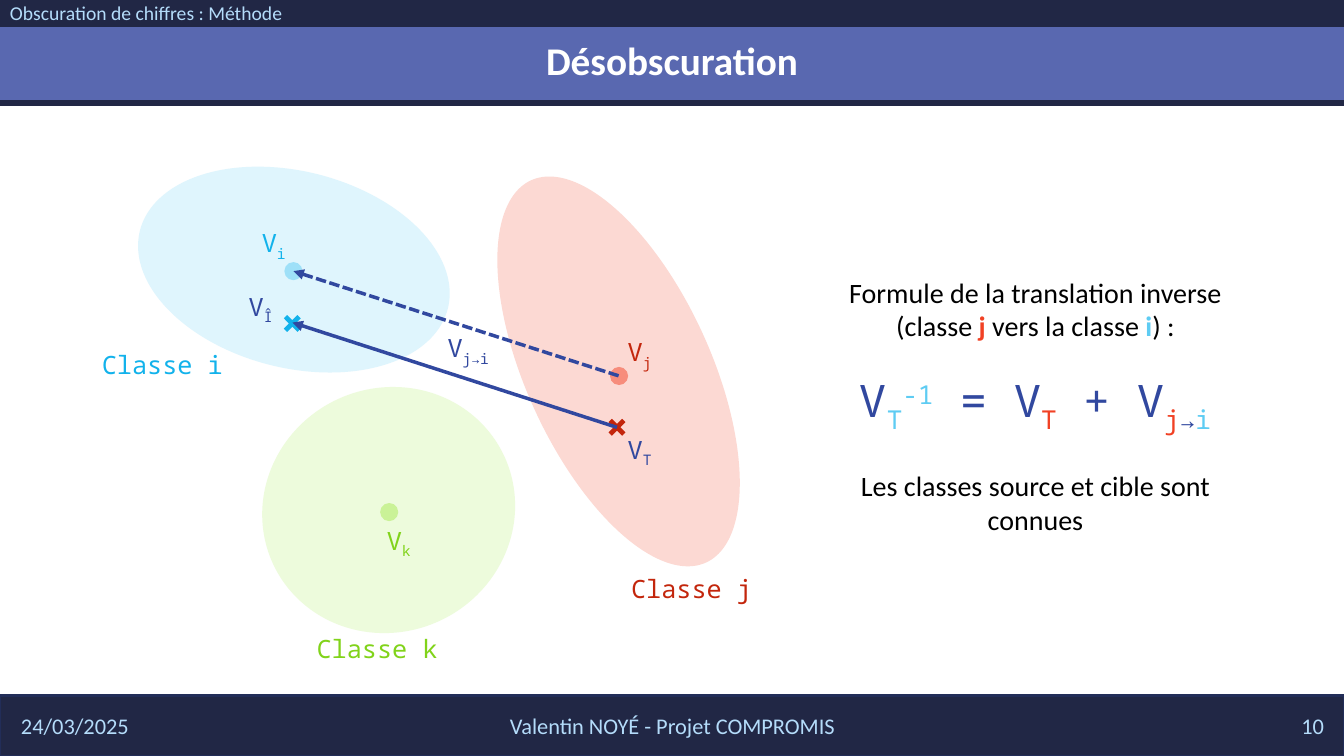
from lxml import etree
from pptx import Presentation
from pptx.dml.color import RGBColor
from pptx.enum import dml, shapes, text
from pptx.oxml.ns import qn
from pptx.util import Inches, Pt

COLORS = {
    "night": "212745", "band": "5968B0", "edge": "222D58", "sky": "B4DCFA",
    "white": "FFFFFF", "black": "000000", "vector": "31489F",
    "i": "12B2EB", "j": "C3260C", "k": "81D31A",
    "i_area": "DFF5FD", "j_area": "FCD9D3", "k_area": "EDFBDC",
    "i_dot": "9EE0F8", "j_dot": "F78D7C", "k_dot": "CAF297",
    "i_accent": "5ECCF3", "j_accent": "F14124",
}
SANS, MONO = "Calibri", "Noto Sans Mono"
LEFT, CENTER, RIGHT = text.PP_ALIGN.LEFT, text.PP_ALIGN.CENTER, text.PP_ALIGN.RIGHT
SUB, SUPER = -25, 30

TITLE = "Désobscuration"
# box, fill, line colour, line width
BANDS = [
    ((0, 6.9, 13.33, 0.6), "night", "edge", 1.5),
    ((-0.09, 0.24, 13.54, 0.78), "band", "night", 4.5),
    ((-0.09, -0.2, 13.54, 0.45), "night", None, 0),
]
# text, box, alignment, size, line spacing
MARGIN_TEXTS = [
    ("24/03/2025", (0.11, 7, 3, 0.4), LEFT, 16, 1),
    ("Valentin NOYÉ - Projet COMPROMIS", (4.42, 7, 4.5, 0.4), CENTER, 16, 1),
    ("10", (10.23, 7, 3, 0.4), RIGHT, 16, 1),
    ("Obscuration de chiffres : Méthode", (0, 0, 7.04, 0.29), LEFT, 14, 0.8),
]
# class: area box, rotation, centre of the dot, corner of the class name
CLASSES = {
    "i": ((1.34, 1.7, 3.15, 1.95), 14.2, (2.91, 2.69), (0.83, 3.42)),
    "k": ((2.59, 3.85, 2.53, 2.42), 333.6, (3.86, 5.08), (2.96, 6.23)),
    "j": ((4.05, 2.77, 4.17, 1.83), 65.4, (6.14, 3.73), (6.08, 5.64)),
}
CROSSES = [("j", (6.12, 4.24)), ("i", (2.9, 3.21))]
# arrow tip, start, dashed
ARROWS = [((2.91, 2.69), (6.14, 3.73), True), ((2.9, 3.2), (6.12, 4.24), False)]
# subscript, corner, colour
VECTORS = [
    ("j→i", (4.21, 3.25), "vector"),
    ("i", (2.28, 2.21), "i"),
    ("j", (5.91, 3.29), "j"),
    ("k", (3.52, 5.16), "k"),
    ("Î", (2.15, 2.84), "vector"),
    ("T", (5.91, 4.26), "vector"),
]
DOT, CROSS = 0.18, 0.26
EXPLANATION_BOX = (8.14, 2.68, 4.26, 2.63)
# font, size, space before, runs of (text, colour, bold, baseline)
EXPLANATION = [
    (SANS, 20, 0, [
        ("Formule de la translation inverse (classe ", "black", False, 0),
        ("j", "j_accent", True, 0),
        (" vers la classe ", "black", False, 0),
        ("i", "i_accent", True, 0),
        (") :", "black", False, 0),
    ]),
    (MONO, 32, 22, [
        ("V", "vector", False, 0), ("T", "i_accent", False, SUB),
        ("-1", "i_accent", False, SUPER),
        (" = V", "vector", False, 0), ("T", "j_accent", False, SUB),
        (" + V", "vector", False, 0), ("j", "j_accent", False, SUB),
        ("→", "vector", False, SUB), ("i", "i_accent", False, SUB),
    ]),
    (SANS, 20, 24.4, [
        ("Les classes source et cible sont connues", "black", False, 0),
    ]),
]


def rgb(name):
    return RGBColor.from_string(COLORS[name])


def inches(values):
    return [Inches(value) for value in values]


def around(center, size):
    """Box of a square mark placed on its centre."""
    return center[0] - size / 2, center[1] - size / 2, size, size


def add_filled(slide, kind, box, fill, line=None, width=0):
    shape = slide.shapes.add_shape(kind, *inches(box))
    shape.shadow.inherit = False
    shape.fill.solid()
    shape.fill.fore_color.rgb = rgb(fill)
    if line:
        shape.line.color.rgb = rgb(line)
        shape.line.width = Pt(width)
    else:
        shape.line.fill.background()
    return shape


def add_run(paragraph, words, font, size, color, bold=False, baseline=0):
    run = paragraph.add_run()
    run.text = words
    for key, value in {"name": font, "size": Pt(size), "bold": bold}.items():
        setattr(run.font, key, value)
    run.font.color.rgb = rgb(color)
    if baseline:
        run.font._element.set("baseline", str(baseline * 1000))


def add_text(slide, box, paragraphs, align=CENTER, spacing=1,
             anchor=text.MSO_ANCHOR.TOP):
    frame = slide.shapes.add_textbox(*inches(box)).text_frame
    frame.word_wrap = True
    frame.vertical_anchor = anchor
    for index, (font, size, before, runs) in enumerate(paragraphs):
        paragraph = frame.add_paragraph() if index else frame.paragraphs[0]
        paragraph.alignment = align
        paragraph.line_spacing = spacing
        paragraph.space_before = Pt(before)
        for words, color, bold, baseline in runs:
            add_run(paragraph, words, font, size, color, bold, baseline)


def add_title(slide):
    title = slide.shapes.title
    slide.shapes.element.append(title.element)  # in front of the bands
    title.left, title.top, title.width, title.height = inches((0, -0.1, 13.33, 1.45))
    title.text_frame.vertical_anchor = text.MSO_ANCHOR.MIDDLE
    paragraph = title.text_frame.paragraphs[0]
    paragraph.alignment = CENTER
    paragraph.line_spacing = 0.9
    add_run(paragraph, TITLE, SANS, 28, "white", True)


def add_arrow(slide, tip, start, dashed):
    arrow = slide.shapes.add_connector(
        shapes.MSO_CONNECTOR.STRAIGHT, *inches(tip + start))
    arrow.line.color.rgb = rgb("vector")
    arrow.line.width = Pt(2.5)
    if dashed:
        arrow.line.dash_style = dml.MSO_LINE.SQUARE_DOT
    properties = arrow.element.spPr
    etree.SubElement(properties.find(qn("a:ln")), qn("a:headEnd"), type="triangle")
    etree.SubElement(properties, qn("a:effectLst"))


def main():
    prs = Presentation()
    prs.slide_width, prs.slide_height = inches((13.33, 7.5))
    slide = prs.slides.add_slide(prs.slide_layouts[5])
    preset = shapes.MSO_SHAPE

    for box, fill, line, width in BANDS:
        add_filled(slide, preset.RECTANGLE, box, fill, line, width)
    add_title(slide)
    for words, box, align, size, spacing in MARGIN_TEXTS:
        add_text(slide, box, [(SANS, size, 0, [(words, "sky", False, 0)])],
                 align, spacing, text.MSO_ANCHOR.MIDDLE)

    for name, (box, rotation, _, _) in CLASSES.items():
        area = add_filled(slide, preset.OVAL, box, name + "_area")
        area.rotation = rotation
    for name, (_, _, center, _) in CLASSES.items():
        add_filled(slide, preset.OVAL, around(center, DOT), name + "_dot")
    for name, center in CROSSES:
        cross = add_filled(slide, preset.MATH_MULTIPLY, around(center, CROSS), name)
        cross.adjustments[0] = 0.18
    for tip, start, dashed in ARROWS:
        add_arrow(slide, tip, start, dashed)

    for index, corner, color in VECTORS:
        runs = [("V", color, False, 0), (index, color, False, SUB)]
        add_text(slide, corner + (0.87, 0.4), [(MONO, 18, 0, runs)])
    for name, (_, _, _, corner) in CLASSES.items():
        runs = [("Classe " + name, name, False, 0)]
        add_text(slide, corner + (1.56, 0.4), [(MONO, 18, 0, runs)])
    add_text(slide, EXPLANATION_BOX, EXPLANATION)

    prs.save("out.pptx")


if __name__ == "__main__":
    main()
